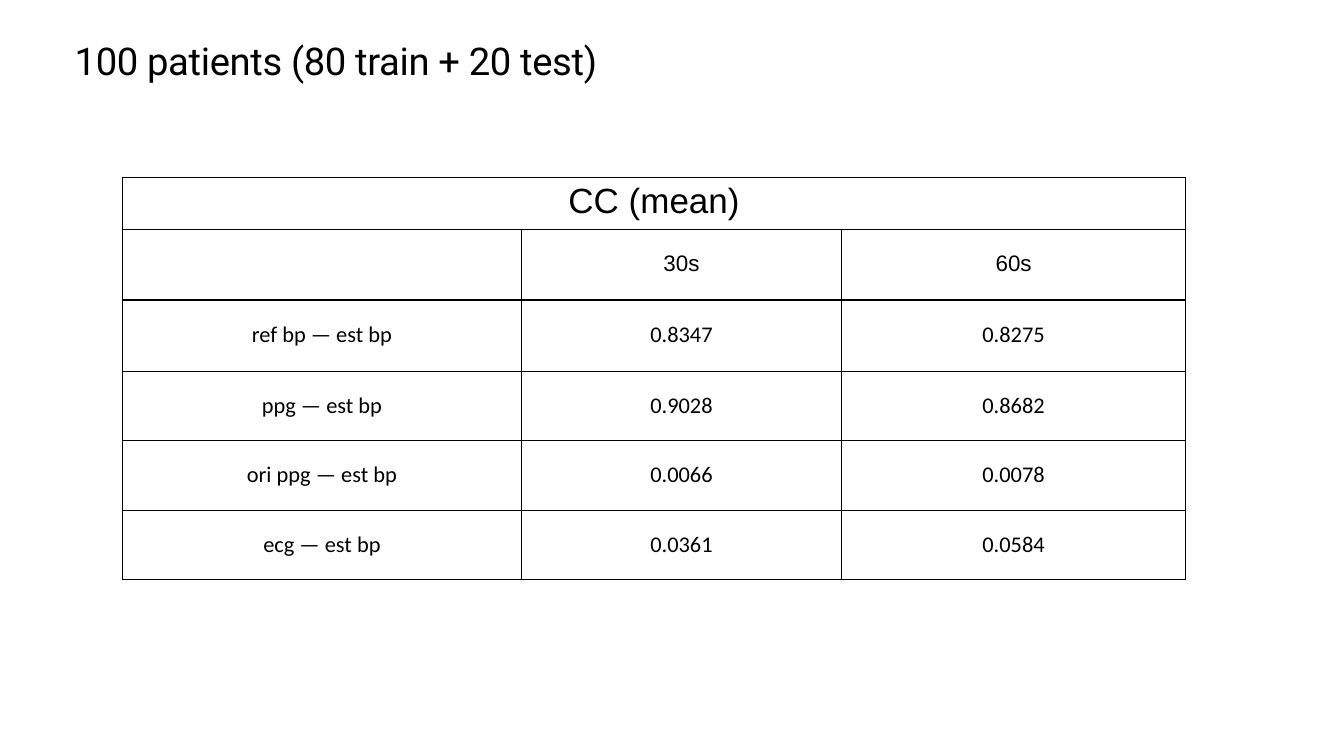
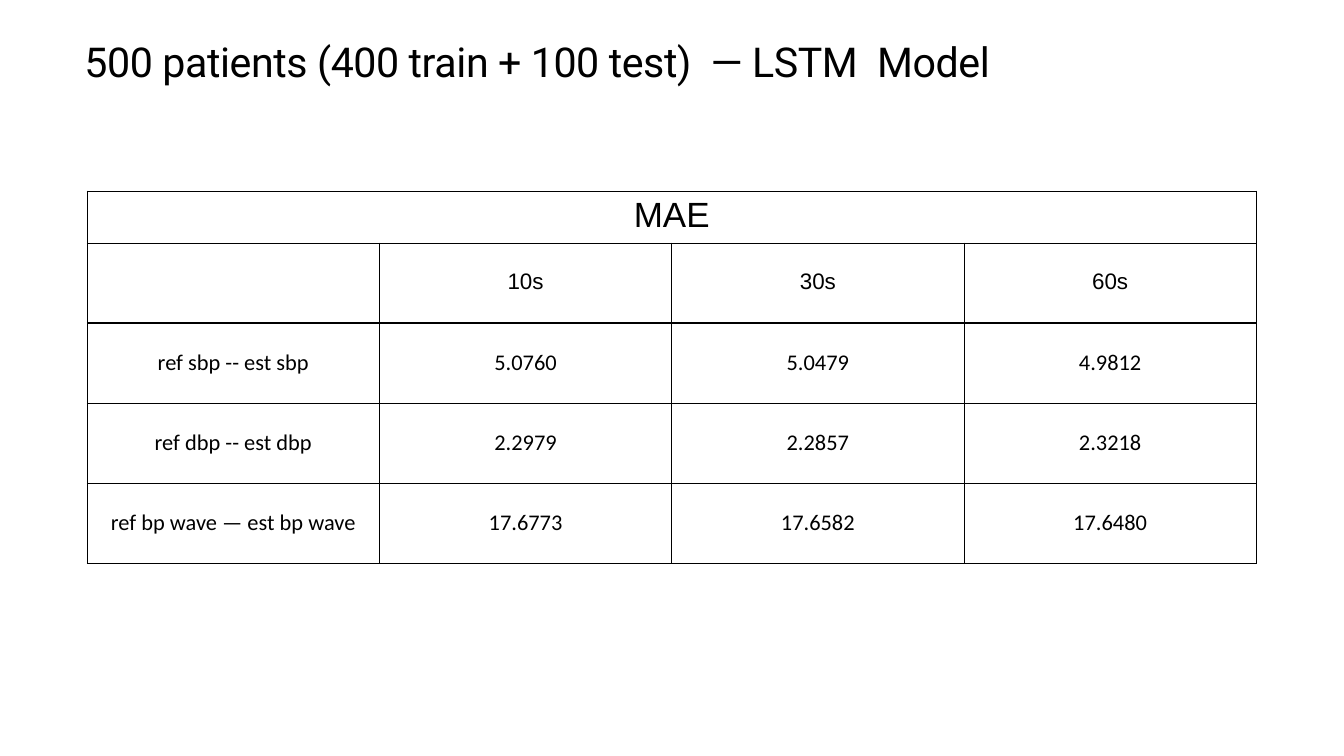
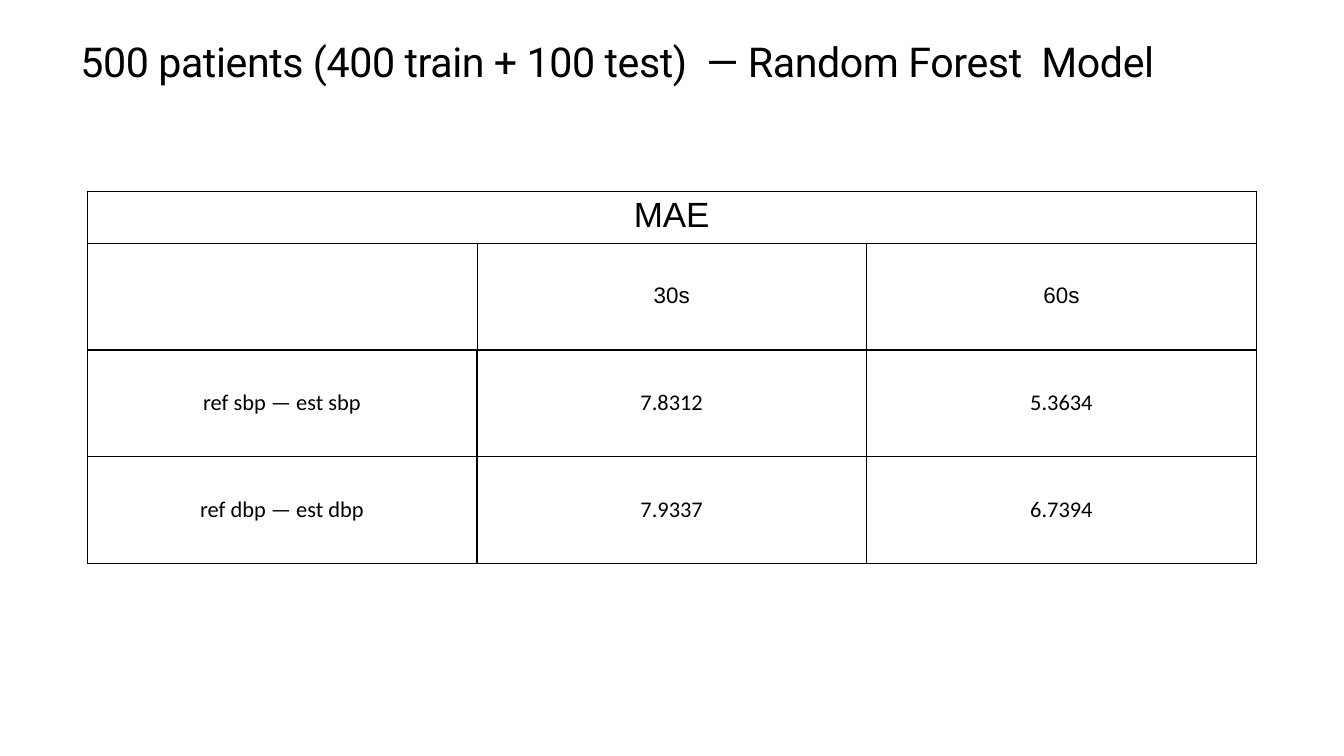
from lxml import etree
from pptx import Presentation
from pptx.dml.color import RGBColor
from pptx.enum.text import MSO_ANCHOR as Anchor, PP_ALIGN as Align
from pptx.oxml.ns import qn
from pptx.util import Inches, Pt

BLACK = "000000"
INSET = Inches(0.06)
THIN, THICK = 1, 3
CAPTION_HEIGHT = 1.03
TITLE_LEFT, TITLE_TOP, TITLE_HEIGHT = 1.33, 0.85, 1.75

MAE_LEFT, MAE_TOP, MAE_WIDTH, MAE_BODY_HEIGHT = 1.73, 3.79, 23.2, 6.36


def even(total, count):
    return [total / count] * count


SLIDES = [
    dict(
        title="100 patients (80 train + 20 test)",
        title_width=10.67, title_size=54.6, title_spacing=-0.5,
        caption="CC (mean)", left=2.43, top=3.51,
        widths=[7.92, 6.35, 6.83],
        heights=[1.41, 1.41, 1.38, 1.38, 1.38],
        rows=[
            ("", "30s", "60s"),
            ("ref bp — est bp", "0.8347", "0.8275"),
            ("ppg — est bp", "0.9028", "0.8682"),
            ("ori ppg — est bp", "0.0066", "0.0078"),
            ("ecg — est bp", "0.0361", "0.0584"),
        ],
    ),
    dict(
        title="500 patients (400 train + 100 test)  — LSTM  Model",
        title_width=18.66, title_size=58.8, title_spacing=-0.6,
        caption="MAE", left=MAE_LEFT, top=MAE_TOP,
        widths=even(MAE_WIDTH, 4),
        heights=even(MAE_BODY_HEIGHT, 4),
        rows=[
            ("", "10s", "30s", "60s"),
            ("ref sbp -- est sbp", "5.0760", "5.0479", "4.9812"),
            ("ref dbp -- est dbp", "2.2979", "2.2857", "2.3218"),
            ("ref bp wave — est bp wave", "17.6773", "17.6582", "17.6480"),
        ],
    ),
    dict(
        title="500 patients (400 train + 100 test)  — Random Forest  Model",
        title_width=21.84, title_size=58.8, title_spacing=-0.6,
        caption="MAE", left=MAE_LEFT, top=MAE_TOP,
        widths=even(MAE_WIDTH, 3),
        heights=even(MAE_BODY_HEIGHT, 3),
        rows=[
            ("", "30s", "60s"),
            ("ref sbp — est sbp", "7.8312", "5.3634"),
            ("ref dbp — est dbp", "7.9337", "6.7394"),
        ],
    ),
]


def rgb(color):
    return RGBColor.from_string(color)


def write(frame, text, size, font, color=BLACK, line_spacing=0.9, spacing=0):
    """Fill a text frame with one centred paragraph; spacing is between letters, in points."""
    paragraph = frame.paragraphs[0]
    paragraph.alignment = Align.CENTER
    paragraph.line_spacing = line_spacing
    if not text:
        return
    run = paragraph.add_run()
    run.text = text
    run.font.size = Pt(size)
    run.font.name = font
    run.font.color.rgb = rgb(color)
    if spacing:
        run.font._element.set("spc", str(round(spacing * 100)))


def set_borders(cell, **widths):
    properties = cell._tc.get_or_add_tcPr()
    for side in "LRTB":
        width = widths.get(side, THIN)
        line = etree.SubElement(properties, qn(f"a:ln{side}"), w=str(Pt(width)))
        fill = etree.SubElement(line, qn("a:solidFill"))
        etree.SubElement(fill, qn("a:srgbClr"), val=BLACK)


def format_cell(cell, **borders):
    cell.margin_left = cell.margin_right = INSET
    cell.margin_top = cell.margin_bottom = INSET
    cell.vertical_anchor = Anchor.MIDDLE
    set_borders(cell, **borders)
    cell.fill.background()


def body_borders(row, column):
    """Thick lines part the header row and the label column from the values."""
    if row == 0:
        return {"B": THICK}
    borders = {"T": THICK} if row == 1 else {}
    if column == 0:
        borders["R"] = THICK
    return borders


def add_title(slide, content):
    box = slide.shapes.add_textbox(
        Inches(TITLE_LEFT), Inches(TITLE_TOP),
        Inches(content["title_width"]), Inches(TITLE_HEIGHT))
    frame = box.text_frame
    frame.word_wrap = True
    frame.vertical_anchor = Anchor.TOP
    frame.margin_left = frame.margin_right = INSET
    frame.margin_top = frame.margin_bottom = INSET
    write(frame, content["title"], content["title_size"], "Roboto",
          line_spacing=0.8, spacing=content["title_spacing"])


def add_results(slide, content):
    widths, rows = content["widths"], content["rows"]
    heights = [CAPTION_HEIGHT] + content["heights"]
    table = slide.shapes.add_table(
        len(heights), len(widths), Inches(content["left"]), Inches(content["top"]),
        Inches(sum(widths)), Inches(sum(heights))).table
    table.first_row = table.horz_banding = False
    for column, width in zip(table.columns, widths):
        column.width = Inches(width)
    for row, height in zip(table.rows, heights):
        row.height = Inches(height)

    for column in range(len(widths)):
        format_cell(table.cell(0, column))
    caption = table.cell(0, 0)
    caption.merge(table.cell(0, len(widths) - 1))
    write(caption.text_frame, content["caption"], 50, "Arial")

    for r, values in enumerate(rows):
        for c, value in enumerate(values):
            cell = table.cell(r + 1, c)
            format_cell(cell, **body_borders(r, c))
            write(cell.text_frame, value, 32, "Calibri" if r else "Arial")


def main():
    deck = Presentation()
    deck.slide_width, deck.slide_height = Inches(26.67), Inches(15)
    for content in SLIDES:
        slide = deck.slides.add_slide(deck.slide_layouts[6])
        add_title(slide, content)
        add_results(slide, content)
    deck.save("out.pptx")


if __name__ == "__main__":
    main()
